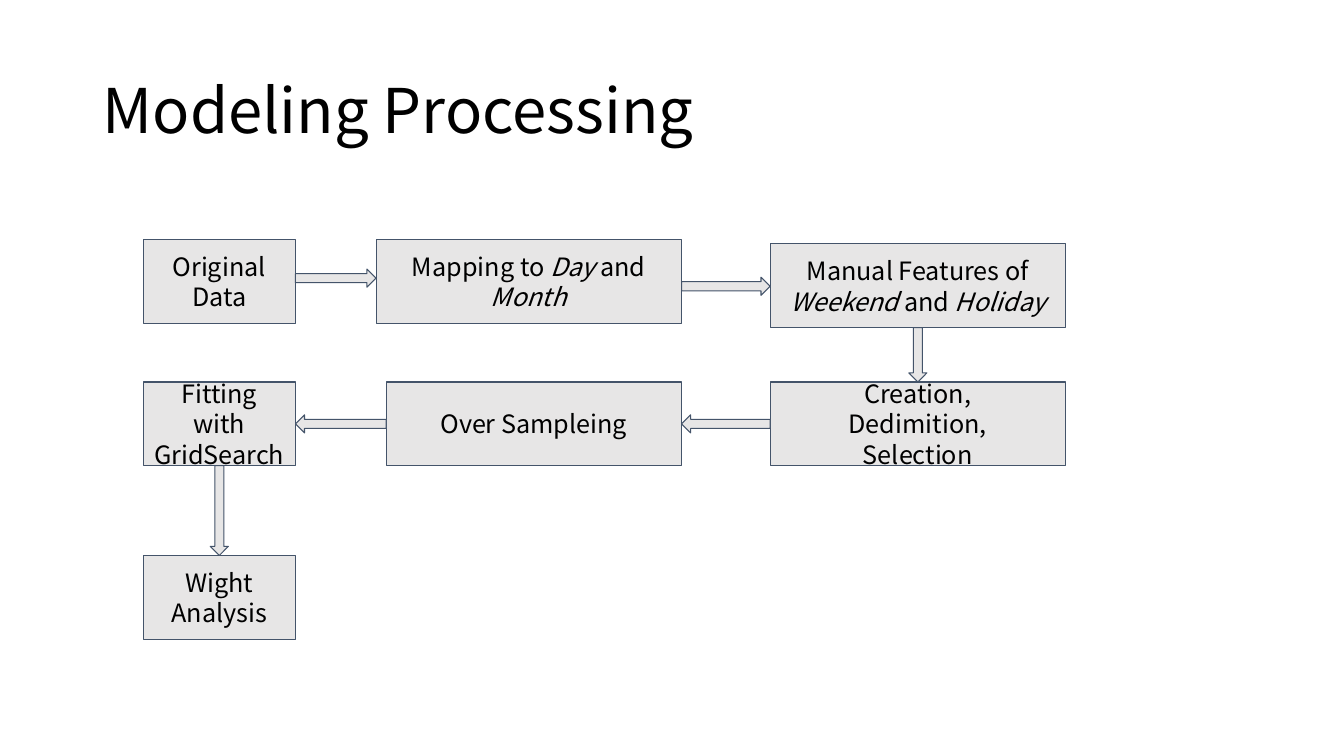
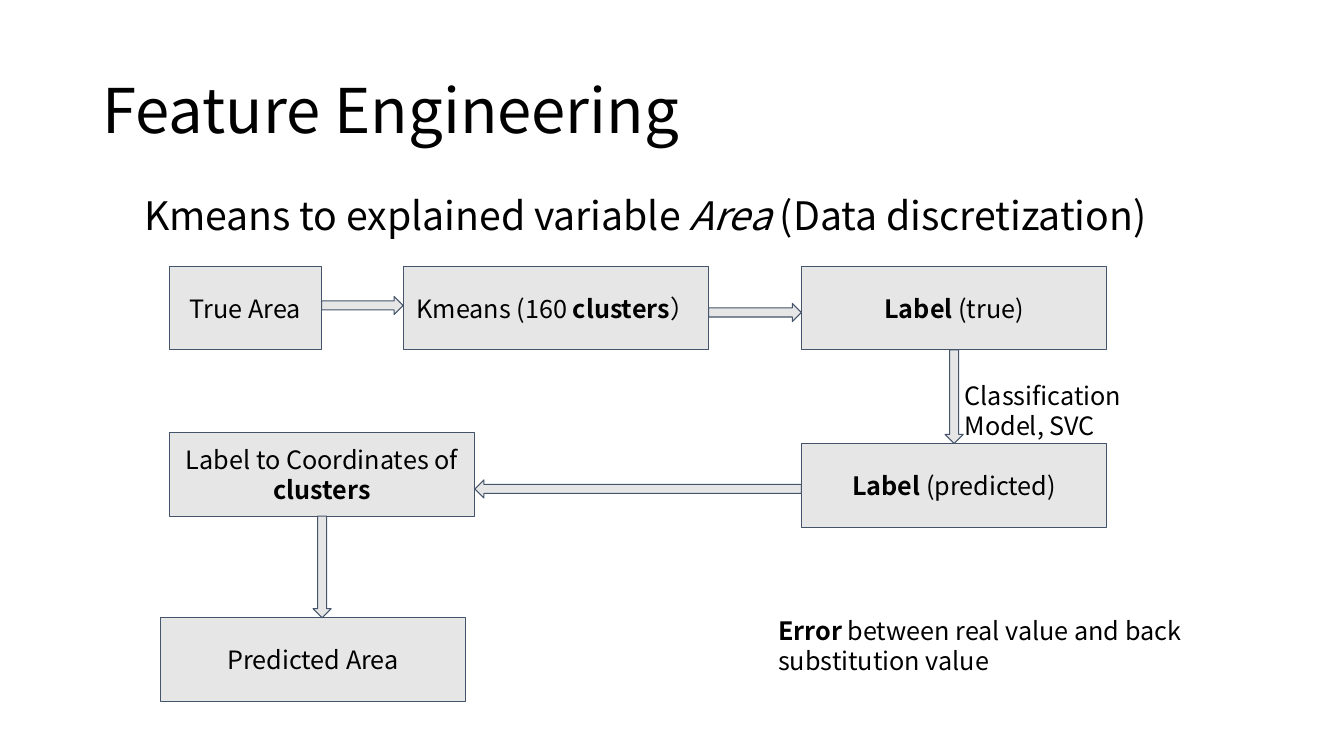
from dataclasses import dataclass
from pptx import Presentation
from pptx.dml.color import RGBColor
from pptx.enum.shapes import MSO_SHAPE as Preset
from pptx.enum.text import MSO_ANCHOR as Anchor, PP_ALIGN as Align
from pptx.util import Inches, Pt


@dataclass(frozen=True)
class Theme:
    font: str = "Noto Sans CJK SC"
    ink: RGBColor = RGBColor.from_string("000000")
    fill: RGBColor = RGBColor.from_string("E7E6E6")
    edge: RGBColor = RGBColor.from_string("44546A")
    edge_width: float = 0.75
    title: int = 44
    lead: int = 28
    label: int = 18


theme = Theme()
deck = Presentation()
deck.slide_width = Inches(13.33)
deck.slide_height = Inches(7.5)
COLUMN = deck.slide_width / 100
ROW = deck.slide_height / 100

NARROW, MEDIUM, WIDE = 11.33, 21.98, 22.73
STEP_HEIGHT = 11.07
ARROW_THICKNESS = 2.4 * ROW
TITLE_AREA = (6.9, 5.33, 86.27, 19.33)
STEP_INSET = Inches(0.1)


def write(shape, text, size, emphasis, align=Align.LEFT, anchor=Anchor.TOP, spacing=1.0):
    frame = shape.text_frame
    frame.word_wrap = True
    frame.vertical_anchor = anchor
    for number, line in enumerate(text.split("\n")):
        paragraph = frame.paragraphs[0] if number == 0 else frame.add_paragraph()
        paragraph.alignment = align
        paragraph.line_spacing = spacing
        for part, words in enumerate(line.split("*")):
            if not words:
                continue
            run = paragraph.add_run()
            run.text = words
            run.font.color.rgb = theme.ink
            look = {"name": theme.font, "size": Pt(size), emphasis: part % 2 == 1}
            for key, value in look.items():
                setattr(run.font, key, value)


def add_block(slide, preset, x, y, width, height):
    block = slide.shapes.add_shape(preset, round(x), round(y), round(width), round(height))
    block.shadow.inherit = False
    block.fill.solid()
    block.fill.fore_color.rgb = theme.fill
    block.line.color.rgb = theme.edge
    block.line.width = Pt(theme.edge_width)
    return block


slides = [
    {
        "title": "Modeling Processing",
        "emphasis": "italic",
        "steps": {
            "data": (10.65, 31.73, NARROW, "Original Data"),
            "mapping": (27.98, 31.73, WIDE, "Mapping to *Day* and *Month*"),
            "manual": (57.3, 32.27, MEDIUM, "Manual Features of *Weekend* and *Holiday*"),
            "creation": (57.3, 50.53, MEDIUM, "Creation,\nDedimition,\nSelection"),
            "sampling": (28.73, 50.53, MEDIUM, "Over Sampleing"),
            "fitting": (10.65, 50.53, NARROW, "Fitting with GridSearch"),
            "analysis": (10.65, 73.47, NARROW, "Wight Analysis"),
        },
        "links": [
            ("data", "mapping", -0.47),
            ("mapping", "manual", 0.6),
            ("manual", "creation", 0),
            ("creation", "sampling", 0),
            ("sampling", "fitting", 0),
            ("fitting", "analysis", 0),
        ],
        "notes": [],
    },
    {
        "title": "Feature Engineering",
        "emphasis": "bold",
        "steps": {
            "true area": (12.6, 35.2, NARROW, "True Area"),
            "kmeans": (30, 35.2, WIDE, "Kmeans (160 *clusters*）"),
            "true label": (59.63, 35.2, WIDE, "*Label* (true)"),
            "predicted label": (59.63, 58.67, WIDE, "*Label* (predicted)"),
            "coordinates": (12.6, 57.2, WIDE, "Label to Coordinates of *clusters*"),
            "predicted area": (11.93, 81.73, WIDE, "Predicted Area"),
        },
        "links": [
            ("true area", "kmeans", -0.33),
            ("kmeans", "true label", 0.6),
            ("true label", "predicted label", 0),
            ("predicted label", "coordinates", 0.47),
            ("coordinates", "predicted area", 0),
        ],
        "notes": [
            (9.98, 25.33, 86.78, 9, theme.lead, "italic", 0.9,
             "Kmeans to explained variable *Area *(Data discretization)"),
            (71.04, 49.6, 18.45, 9, theme.label, "bold", 1.0,
             "Classification Model, SVC"),
            (57.16, 80.67, 36, 9, theme.label, "bold", 1.0,
             "*Error* between real value and back substitution value"),
        ],
    },
]

for content in slides:
    slide = deck.slides.add_slide(deck.slide_layouts[6])
    left, top, width, height = TITLE_AREA
    heading = slide.shapes.add_textbox(
        round(left * COLUMN), round(top * ROW), round(width * COLUMN), round(height * ROW)
    )
    write(heading, content["title"], theme.title, "bold", anchor=Anchor.MIDDLE, spacing=0.9)

    steps = {}
    for key, (left, top, width, label) in content["steps"].items():
        step = add_block(
            slide, Preset.RECTANGLE,
            left * COLUMN, top * ROW, width * COLUMN, STEP_HEIGHT * ROW,
        )
        for side in ("left", "top", "right", "bottom"):
            setattr(step.text_frame, f"margin_{side}", STEP_INSET)
        write(step, label, theme.label, content["emphasis"], Align.CENTER, Anchor.MIDDLE)
        steps[key] = step

    for origin, target, drift in content["links"]:
        start, end = steps[origin], steps[target]
        middle_x = start.left + start.width / 2
        middle_y = start.top + start.height / 2 + drift * ROW
        if end.left >= start.left + start.width:
            turn, length = 0, end.left - start.left - start.width
            middle_x = end.left - length / 2
        elif end.left + end.width <= start.left:
            turn, length = 180, start.left - end.left - end.width
            middle_x = start.left - length / 2
        else:
            turn, length = 90, end.top - start.top - start.height
            middle_y = end.top - length / 2
        arrow = add_block(
            slide, Preset.RIGHT_ARROW,
            middle_x - length / 2, middle_y - ARROW_THICKNESS / 2, length, ARROW_THICKNESS,
        )
        arrow.rotation = turn

    for left, top, width, height, size, emphasis, spacing, words in content["notes"]:
        note = slide.shapes.add_textbox(
            round(left * COLUMN), round(top * ROW), round(width * COLUMN), round(height * ROW)
        )
        write(note, words, size, emphasis, spacing=spacing)

deck.save("out.pptx")
